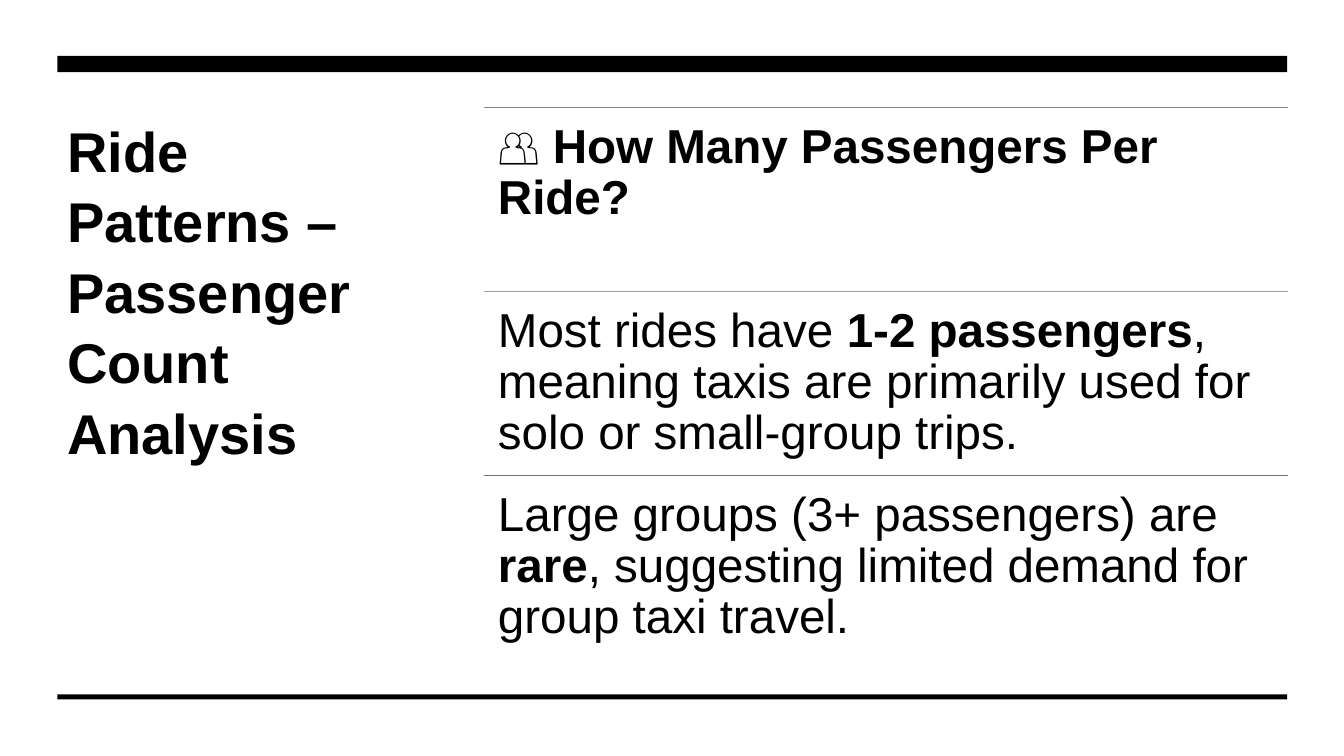
from lxml.etree import SubElement
from pptx import Presentation
from pptx.dml.color import RGBColor
from pptx.enum.shapes import MSO_CONNECTOR, MSO_SHAPE
from pptx.enum.text import MSO_ANCHOR
from pptx.oxml.ns import qn
from pptx.util import Pt

BLACK = RGBColor(0x00, 0x00, 0x00)
WHITE = RGBColor(0xFF, 0xFF, 0xFF)
CYAN = RGBColor(0x00, 0xBA, 0xC8)
GREEN = RGBColor(0x59, 0xDD, 0x0C)
ORANGE = RGBColor(0xE6, 0x48, 0x23)

FINDINGS = [
    (CYAN, [("👥 ", False), ("How Many Passengers Per Ride?", True)]),
    (GREEN, [
        ("Most rides have ", False),
        ("1-2 passengers", True),
        (", meaning taxis are primarily used for solo or small-group trips.", False),
    ]),
    (ORANGE, [
        ("Large groups (3+ passengers) are ", False),
        ("rare", True),
        (", suggesting limited demand for group taxi travel.", False),
    ]),
]


def add_text(page, spans, left, top, width, height, size, spacing, inset_x, inset_y):
    box = page.shapes.add_textbox(Pt(left), Pt(top), Pt(width), Pt(height))
    frame = box.text_frame
    frame.word_wrap = True
    frame.vertical_anchor = MSO_ANCHOR.TOP
    frame.margin_left = frame.margin_right = Pt(inset_x)
    frame.margin_top = frame.margin_bottom = Pt(inset_y)
    para = frame.paragraphs[0]
    para.line_spacing = spacing
    for text, bold in spans:
        span = para.add_run()
        span.text = text
        span.font.name = "Arial"
        span.font.size = Pt(size)
        span.font.bold = bold
        span.font.color.rgb = BLACK


def add_bar(page, left, top, width, height):
    bar = page.shapes.add_shape(
        MSO_SHAPE.RECTANGLE, Pt(left), Pt(top), Pt(width), Pt(height))
    bar.shadow.inherit = False
    bar.fill.solid()
    bar.fill.fore_color.rgb = BLACK
    bar.line.fill.background()


def add_rule(page, left, top, width, color):
    rule = page.shapes.add_connector(
        MSO_CONNECTOR.STRAIGHT, Pt(left), Pt(top), Pt(left + width), Pt(top))
    rule.line.color.rgb = color
    rule.line.width = Pt(1)
    SubElement(rule._element.spPr, qn("a:effectLst"))


def add_frame_bars(page, left, top, width, height):
    thick, thin = 11.6, 3.6
    add_bar(page, left, top, width, thick)
    add_bar(page, left, top + height - thin, width, thin)


def add_title(page, left, top, width, height):
    add_text(page, [("Ride Patterns – Passenger Count Analysis", True)],
             left, top, width, height, size=40, spacing=1.05, inset_x=7.2, inset_y=3.6)


def add_findings(page, left, top, width, height):
    row_height = height / len(FINDINGS)
    for index, (color, spans) in enumerate(FINDINGS):
        row_top = top + index * row_height
        add_rule(page, left, row_top, width, color)
        add_text(page, spans, left, row_top, width, row_height,
                 size=34, spacing=0.9, inset_x=10.2, inset_y=10.2)


def main():
    deck = Presentation()
    deck.slide_width = Pt(960)
    deck.slide_height = Pt(540)
    page = deck.slides.add_slide(deck.slide_layouts[6])
    page.background.fill.solid()
    page.background.fill.fore_color.rgb = WHITE
    add_title(page, 41, 77, 248.4, 320.4)
    add_frame_bars(page, 41, 40, 878.4, 459.6)
    add_findings(page, 345.5, 77, 574.6, 394.2)
    deck.save("out.pptx")


if __name__ == "__main__":
    main()
